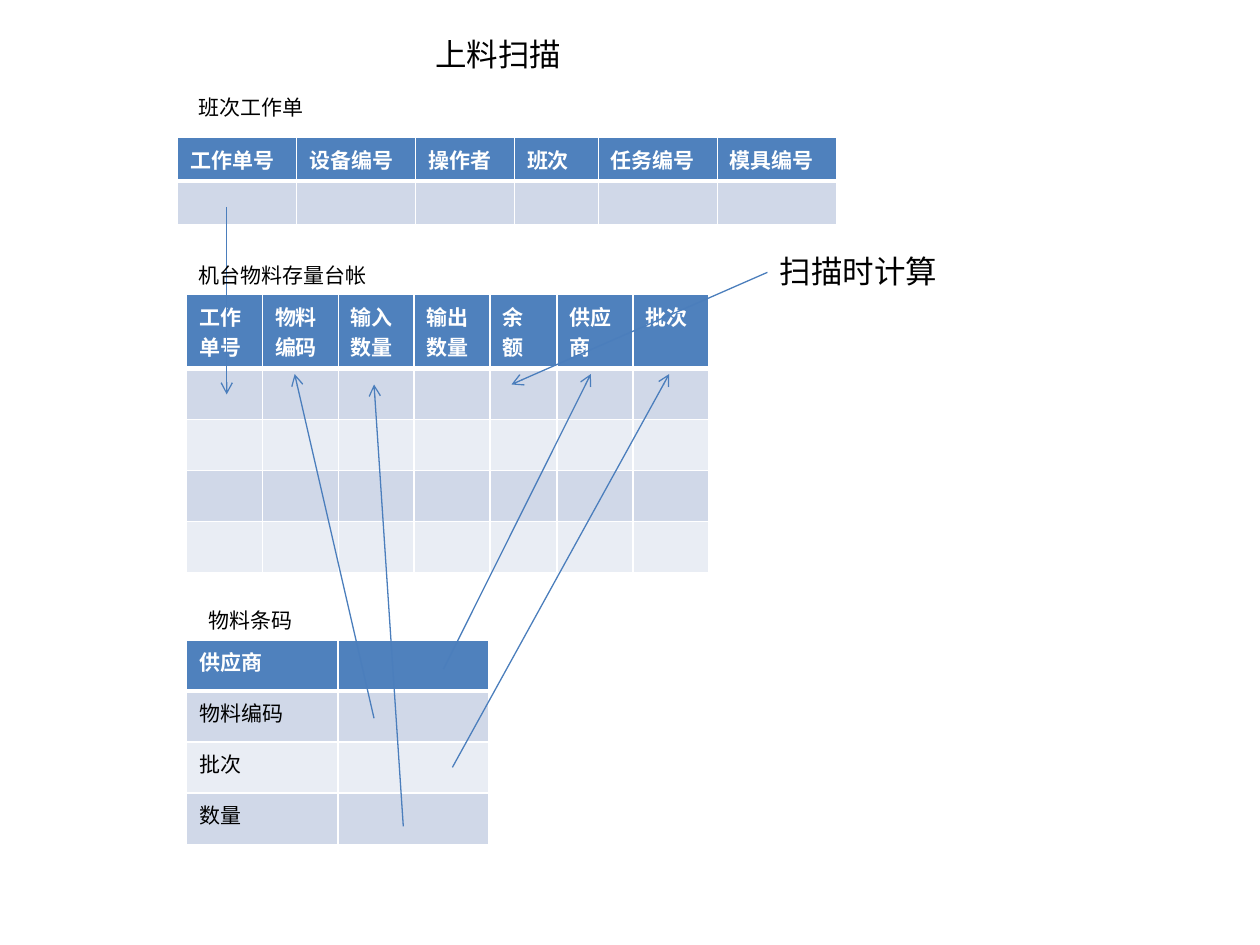
from dataclasses import dataclass

from lxml import etree
from pptx import Presentation
from pptx import util as u
from pptx.dml.color import RGBColor
from pptx.enum import shapes, text
from pptx.oxml import ns


@dataclass(frozen=True)
class Theme:
    font: str = "Calibri"
    title_size: int = 18
    body_size: int = 12
    dark: str = "000000"
    light: str = "FFFFFF"
    header: str = "4F81BD"
    bands: tuple = ("D0D8E8", "E9EDF4")
    arrow: str = "4B7EBC"
    arrow_width: float = 0.75
    border_width: int = 1
    header_rule_width: int = 3


class SlideBuilder:
    def __init__(self, slide, theme):
        self.slide = slide
        self.theme = theme

    def add_wording(self, paragraph, wording, size, color, bold=False):
        run = paragraph.add_run()
        run.text = wording
        formats = {"name": self.theme.font, "size": u.Pt(size), "bold": bold}
        for name, value in formats.items():
            setattr(run.font, name, value)
        run.font.color.rgb = RGBColor.from_string(color)

    def label(self, wording, left, top, width, size):
        height = 1.02 if size == self.theme.title_size else 0.76
        box = self.slide.shapes.add_textbox(*map(u.Cm, (left, top, width, height)))
        formats = {"word_wrap": False, "auto_size": text.MSO_AUTO_SIZE.SHAPE_TO_FIT_TEXT}
        for name, value in formats.items():
            setattr(box.text_frame, name, value)
        self.add_wording(box.text_frame.paragraphs[0], wording, size, self.theme.dark)

    def arrow(self, start, end):
        connector = self.slide.shapes.add_connector(
            shapes.MSO_CONNECTOR.STRAIGHT, *map(u.Cm, start + end))
        connector.line.color.rgb = RGBColor.from_string(self.theme.arrow)
        connector.line.width = u.Pt(self.theme.arrow_width)
        properties = connector._element.spPr
        line = properties.find(ns.qn("a:ln"))
        etree.SubElement(line, ns.qn("a:tailEnd"), type="arrow")
        etree.SubElement(properties, ns.qn("a:effectLst"))

    def borders(self, cell, is_header):
        properties = cell._tc.get_or_add_tcPr()
        for position, side in enumerate(("lnL", "lnR", "lnT", "lnB")):
            heavy = is_header and side == "lnB"
            width = self.theme.header_rule_width if heavy else self.theme.border_width
            line = etree.Element(ns.qn("a:" + side), w=str(u.Pt(width)))
            fill = etree.SubElement(line, ns.qn("a:solidFill"))
            etree.SubElement(fill, ns.qn("a:srgbClr"), val=self.theme.light)
            properties.insert(position, line)

    def table(self, left, top, widths, row_height, rows):
        table = self.slide.shapes.add_table(
            len(rows), len(widths), u.Cm(left), u.Cm(top),
            u.Cm(sum(widths)), u.Cm(row_height * len(rows))).table
        for column, width in zip(table.columns, widths):
            column.width = u.Cm(width)
        for r, wordings in enumerate(rows):
            table.rows[r].height = u.Cm(row_height)
            is_header = r == 0
            color = self.theme.light if is_header else self.theme.dark
            fill = self.theme.header if is_header else self.theme.bands[(r - 1) % 2]
            for c, wording in enumerate(wordings):
                cell = table.cell(r, c)
                cell.fill.solid()
                cell.fill.fore_color.rgb = RGBColor.from_string(fill)
                self.borders(cell, is_header)
                paragraph = cell.text_frame.paragraphs[0]
                if wording:
                    self.add_wording(paragraph, wording, self.theme.body_size, color, is_header)
                else:
                    # Keeps an empty row as low as a row of body text
                    etree.SubElement(paragraph._p, ns.qn("a:endParaRPr"),
                                     sz=str(self.theme.body_size * 100))


presentation = Presentation()
presentation.slide_width = u.Cm(25.4)
presentation.slide_height = u.Cm(19.05)
theme = Theme()
builder = SlideBuilder(presentation.slides.add_slide(presentation.slide_layouts[6]), theme)

# Tables: stock ledger, material barcode, shift work order
ledger_columns = ["工作单号", "物料编码", "输入数量", "输出数量", "余额", "供应商", "批次"]
builder.table(3.76, 5.94, [1.53] * 4 + [1.35] + [1.53] * 2, 1.03,
              [ledger_columns] + [[""] * len(ledger_columns)] * 4)
builder.table(3.76, 12.9, [3.05] * 2, 1.03,
              [[field, ""] for field in ("供应商", "物料编码", "批次", "数量")])
order_columns = ["工作单号", "设备编号", "操作者", "班次", "任务编号", "模具编号"]
builder.table(3.58, 2.77, [2.4, 2.4, 1.99, 1.69, 2.4, 2.4], 0.88,
              [order_columns, [""] * len(order_columns)])

# Arrows into the first ledger row
for start, end in (
    ((4.57, 4.17), (4.57, 7.95)),
    ((7.54, 14.48), (5.94, 7.54)),
    ((8.13, 16.66), (7.54, 7.75)),
    ((9.12, 15.47), (13.49, 7.54)),
    ((8.94, 13.49), (11.91, 7.54)),
    ((15.47, 5.49), (10.31, 7.75)),
):
    builder.arrow(start, end)

# Title, note and table captions
for wording, left, top, width, size in (
    ("扫描时计算", 15.47, 4.95, 3.71, theme.title_size),
    ("上料扫描", 8.53, 0.58, 3.07, theme.title_size),
    ("物料条码", 3.96, 12.12, 2.24, theme.body_size),
    ("机台物料存量台帐", 3.76, 5.16, 3.94, theme.body_size),
    ("班次工作单", 3.76, 1.78, 2.64, theme.body_size),
):
    builder.label(wording, left, top, width, size)

presentation.save("out.pptx")
